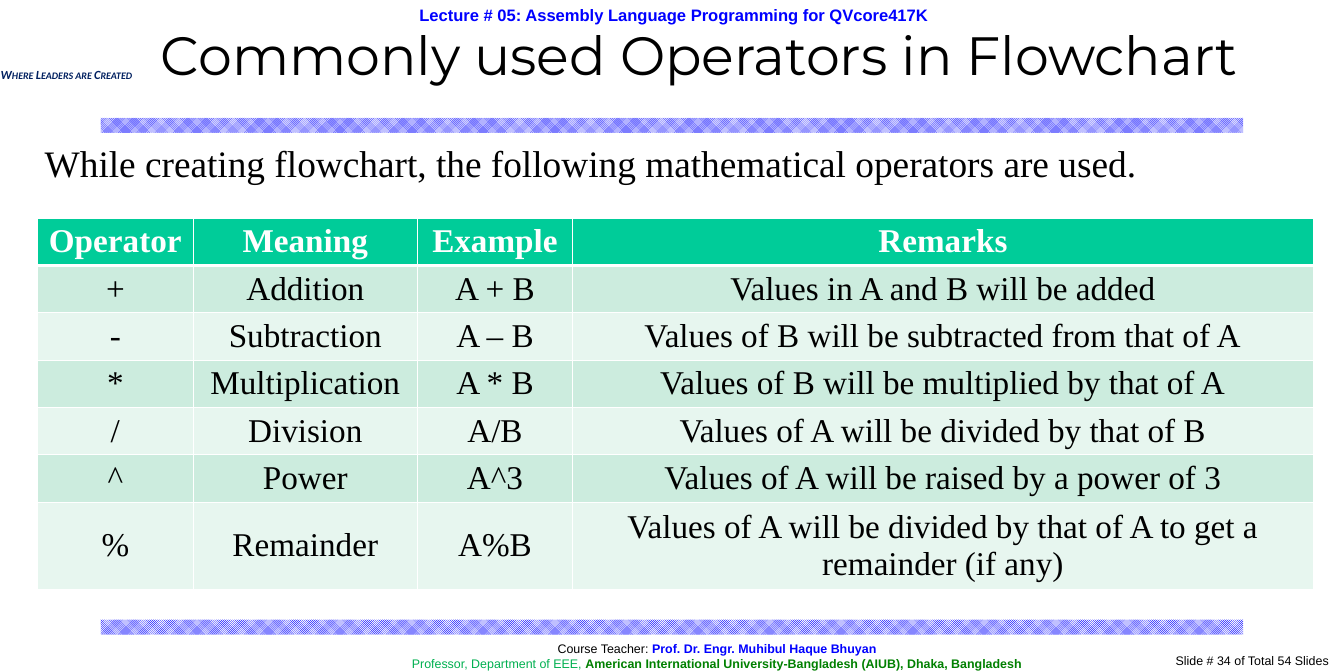
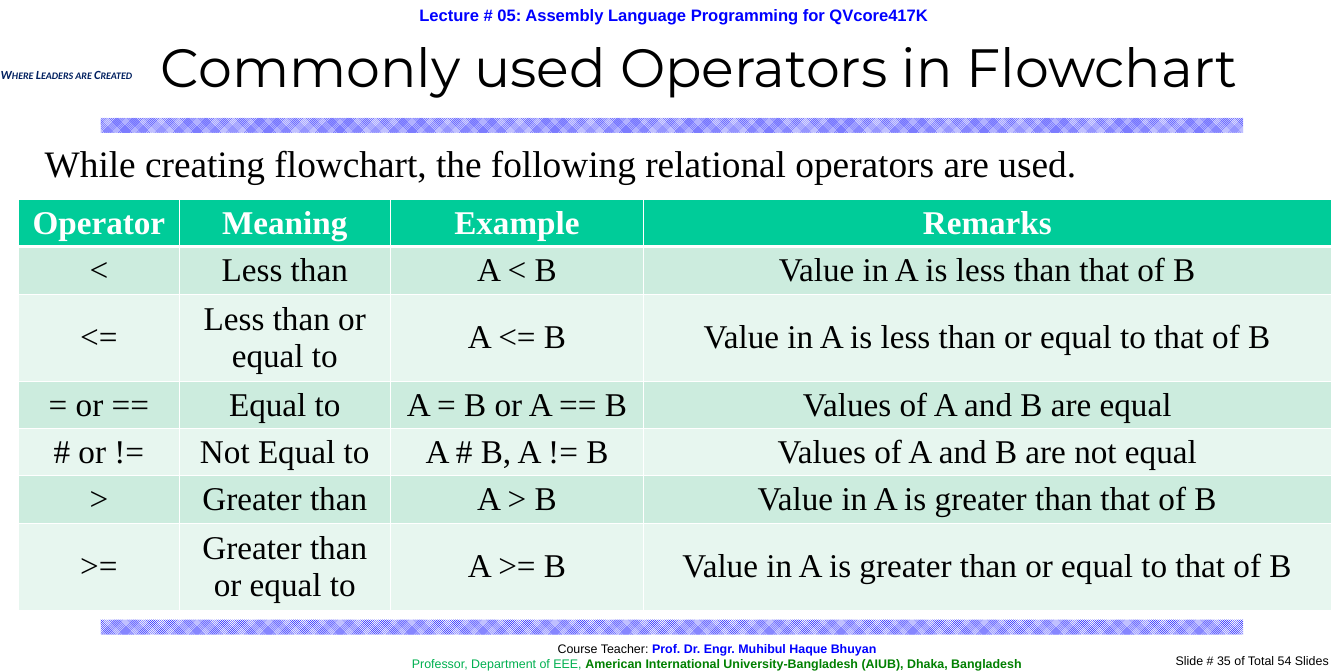
import pptx
import pptx.dml.color
import pptx.enum.dml
import pptx.enum.shapes
import pptx.enum.text
import pptx.util
from lxml import etree
from pptx.oxml.ns import qn

ALIGN = pptx.enum.text.PP_ALIGN
ANCHOR = pptx.enum.text.MSO_ANCHOR
RECTANGLE = pptx.enum.shapes.MSO_SHAPE.RECTANGLE

# Shared palette and fonts
BLACK, WHITE, BLUE, NAVY = "000000", "FFFFFF", "0000FF", "002060"
LIGHT_GREEN, DARK_GREEN = "00B050", "008000"
HEADER_FILL, ODD_FILL, EVEN_FILL = "00CC99", "CCECDE", "E7F6EF"
SERIF, SANS, DISPLAY, SLOGAN = "Times New Roman", "Arial", "Montserrat", "Calibri"

deck = pptx.Presentation()
deck.slide_width = pptx.util.Inches(18)
deck.slide_height = pptx.util.Inches(9)

# Grid of 18 columns by 9 rows
COLUMN = deck.slide_width / 18
ROW = deck.slide_height / 9
LEAST_HEIGHT = 0.41  # table rows grow from here to fit their text


def colour(code):
    return pptx.dml.color.RGBColor.from_string(code)


def write(frame, paragraphs, face, size, align):
    """Fill a text frame; each paragraph is a list of (text, colour, bold)."""
    for index, runs in enumerate(paragraphs):
        para = frame.paragraphs[0] if index == 0 else frame.add_paragraph()
        para.alignment = align
        for text, code, bold in runs:
            span = para.add_run()
            span.text = text
            span.font.name = face
            span.font.size = pptx.util.Pt(size)
            span.font.bold = bold
            span.font.color.rgb = colour(code)
            if face == SLOGAN:
                span.font.italic = True
                span.font._element.set("cap", "small")


HEADINGS = ["Operator", "Meaning", "Example", "Remarks"]
pages = [
    {
        "number": 34, "kind": "mathematical", "title_top": 0.27,
        "table_at": (0.5, 2.92), "widths": [2.09, 3, 2.08, 9.92],
        "rows": [
            ["+", "Addition", "A + B", "Values in A and B will be added"],
            ["-", "Subtraction", "A – B", "Values of B will be subtracted from that of A"],
            ["*", "Multiplication", "A * B", "Values of B will be multiplied by that of A"],
            ["/", "Division", "A/B", "Values of A will be divided by that of B"],
            ["^", "Power", "A^3", "Values of A will be raised by a power of 3"],
            ["%", "Remainder", "A%B",
             "Values of A will be divided by that of A to get a remainder (if any)"],
        ],
    },
    {
        "number": 35, "kind": "relational", "title_top": 0.43,
        "table_at": (0.25, 2.67), "widths": [2.15, 2.83, 3.39, 9.21],
        "rows": [
            ["<", "Less than", "A < B", "Value in A is less than that of B"],
            ["<=", "Less than or equal to", "A <= B",
             "Value in A is less than or equal to that of B"],
            ["= or ==", "Equal to", "A = B or A == B", "Values of A and B are equal"],
            ["# or !=", "Not Equal to", "A # B, A != B", "Values of A and B are not equal"],
            [">", "Greater than", "A > B", "Value in A is greater than that of B"],
            [">=", "Greater than or equal to", "A >= B",
             "Value in A is greater than or equal to that of B"],
        ],
    },
]

for content in pages:
    page = deck.slides.add_slide(deck.slide_layouts[6])

    # Checked bands above and below the content
    for top in (8.3, 1.58):
        band = page.shapes.add_shape(RECTANGLE, int(1.35 * COLUMN), int(top * ROW),
                                     int(15.3 * COLUMN), int(0.2 * ROW))
        band.shadow.inherit = False
        band.fill.patterned()
        band.fill.pattern = pptx.enum.dml.MSO_PATTERN.SMALL_CHECKER_BOARD
        band.fill.fore_color.rgb = colour(BLUE)
        band.fill.back_color.rgb = colour(WHITE)
        band.line.fill.background()

    # Texts: place, white panel, side and top margins, anchor, alignment, font, size, paragraphs
    texts = [
        ((0.08, 0.06, 17.89, 0.27), True, 0.13, 0, ANCHOR.TOP, ALIGN.CENTER, SANS, 16,
         [[("Lecture # 05: Assembly Language Programming for QVcore417K", BLUE, True)]]),
        ((2.98, 8.58, 13.25, 0.42), True, 0.13, 0, ANCHOR.TOP, ALIGN.CENTER, SANS, 12,
         [[("Course Teacher:", BLACK, False),
           (" Prof. Dr. Engr. Muhibul Haque Bhuyan", BLUE, True)],
          [("Professor, Department of EEE, ", LIGHT_GREEN, False),
           ("American International University-Bangladesh (AIUB), Dhaka, Bangladesh",
            DARK_GREEN, True)]]),
        ((0.01, 0.84, 1.81, 0.33), False, 0, 0.06, ANCHOR.TOP, ALIGN.LEFT, SLOGAN, 12,
         [[("Where Leaders are Created", NAVY, True)]]),
        ((14.93, 8.69, 3, 0.31), True, 0.13, 0.06, ANCHOR.TOP, ALIGN.RIGHT, SANS, 12,
         [[(f"Slide # {content['number']} of Total 54 Slides", BLACK, False)]]),
        ((0.5, 1.83, 16.5, 0.83), False, 0.1, 0.05, ANCHOR.TOP, ALIGN.LEFT, SERIF, 36,
         [[(f"While creating flowchart, the following {content['kind']} operators are used.",
            BLACK, False)]]),
        ((1.25, content["title_top"], 16.23, 0.9), False, 0.1, 0.05, ANCHOR.MIDDLE,
         ALIGN.CENTER, DISPLAY, 52,
         [[("Commonly used Operators in Flowchart", BLACK, False)]]),
    ]
    for (left, top, width, height), panel, side, edge, anchor, align, face, size, paragraphs in texts:
        place = (int(left * COLUMN), int(top * ROW), int(width * COLUMN), int(height * ROW))
        if panel:
            box = page.shapes.add_shape(RECTANGLE, *place)
            box.shadow.inherit = False
            box.fill.solid()
            box.fill.fore_color.rgb = colour(WHITE)
            box.line.color.rgb = colour(WHITE)
            box.line.width = pptx.util.Pt(0.75)
        else:
            box = page.shapes.add_textbox(*place)
        frame = box.text_frame
        frame.word_wrap = True
        frame.vertical_anchor = anchor
        frame.margin_left = frame.margin_right = int(side * COLUMN)
        frame.margin_top = frame.margin_bottom = int(edge * ROW)
        write(frame, paragraphs, face, size, align)

    # Operator table
    rows = [HEADINGS] + content["rows"]
    left, top = content["table_at"]
    table = page.shapes.add_table(
        len(rows), len(HEADINGS), int(left * COLUMN), int(top * ROW),
        int(sum(content["widths"]) * COLUMN), int(len(rows) * LEAST_HEIGHT * ROW)).table
    for index, width in enumerate(content["widths"]):
        table.columns[index].width = int(width * COLUMN)
    for row_index, row in enumerate(rows):
        header = row_index == 0
        fill = HEADER_FILL if header else ODD_FILL if row_index % 2 else EVEN_FILL
        for column_index, text in enumerate(row):
            cell = table.cell(row_index, column_index)
            cell.vertical_anchor = ANCHOR.MIDDLE
            write(cell.text_frame, [[(text, WHITE if header else BLACK, header)]],
                  SERIF, 32, ALIGN.CENTER)

            # White borders, thicker under the header row
            properties = cell._tc.get_or_add_tcPr()
            for side in ("lnL", "lnR", "lnT", "lnB"):
                thick = (row_index, side) in ((0, "lnB"), (1, "lnT"))
                border = etree.SubElement(properties, qn("a:" + side),
                                          w=str(pptx.util.Pt(3 if thick else 1)))
                paint = etree.SubElement(border, qn("a:solidFill"))
                etree.SubElement(paint, qn("a:srgbClr"), val=WHITE)
            cell.fill.solid()
            cell.fill.fore_color.rgb = colour(fill)

deck.save("out.pptx")
